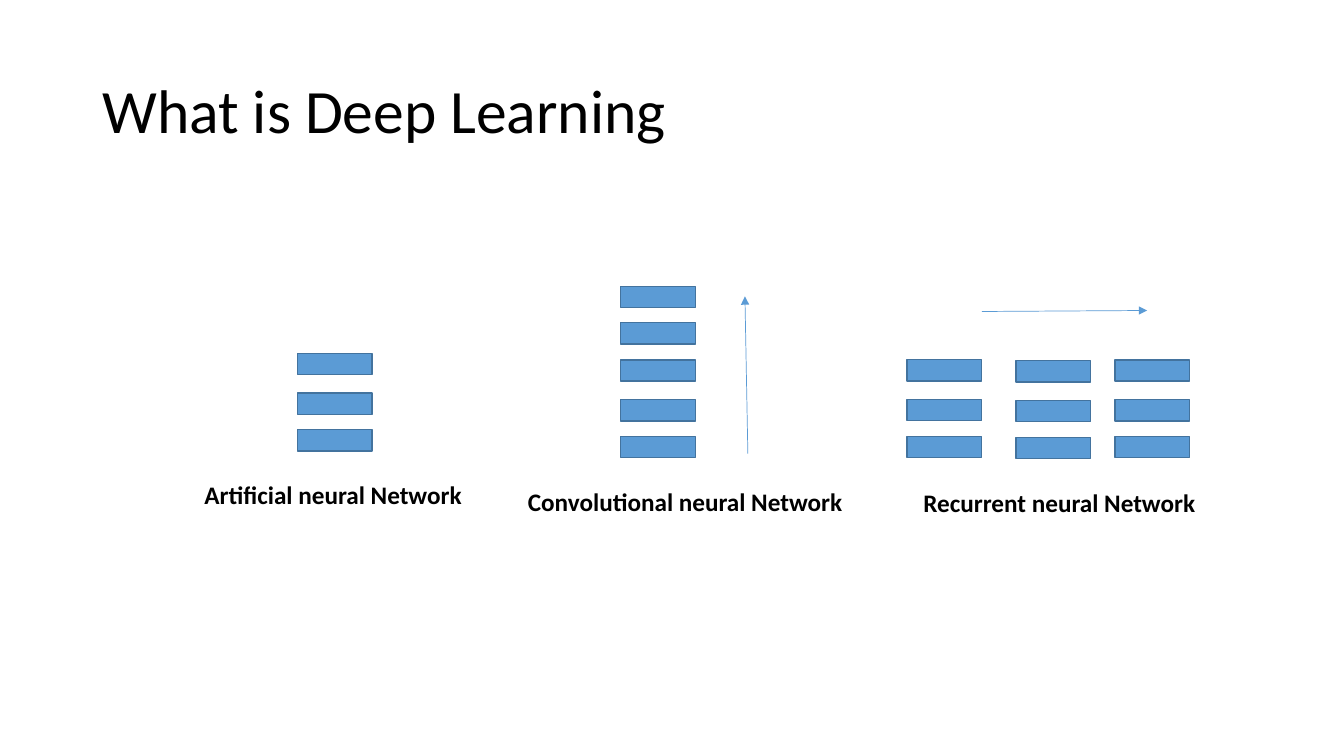
from lxml import etree
from pptx import Presentation
from pptx.dml.color import RGBColor
from pptx.enum.shapes import MSO_CONNECTOR as Connector, MSO_SHAPE as Shape
from pptx.enum.text import MSO_ANCHOR as Anchor, MSO_AUTO_SIZE as AutoSize, PP_ALIGN as Align
from pptx.oxml.ns import qn
from pptx.util import Pt

BLACK = RGBColor(0x00, 0x00, 0x00)
BLUE = RGBColor(0x5B, 0x9B, 0xD5)
DARK_BLUE = RGBColor(0x43, 0x73, 0x9E)
LAYER_WIDTH, LAYER_HEIGHT = 53.3, 15.1
THREE_LAYERS = (0, 28.4, 54.6)
FIVE_LAYERS = (-52.6, -26.6) + THREE_LAYERS


class NetworkSlide:
    """Draws titles, captions, layer stacks and arrows in one style on a slide."""

    def __init__(self, deck, font="Calibri"):
        self.page = deck.slides.add_slide(deck.slide_layouts[5])
        self.font = font

    def fill_text(self, box, text, size, bold=False):
        box.text_frame.text = text
        para = box.text_frame.paragraphs[0]
        para.alignment = Align.LEFT
        for span in para.runs:
            span.font.name = self.font
            span.font.size = Pt(size)
            span.font.bold = bold
            span.font.color.rgb = BLACK
        return para

    def title(self, text, left, top, width, height):
        box = self.page.shapes.title
        box.left, box.top, box.width, box.height = Pt(left), Pt(top), Pt(width), Pt(height)
        self.fill_text(box, text, 44).line_spacing = 0.9
        box.text_frame.vertical_anchor = Anchor.MIDDLE
        box.text_frame.auto_size = AutoSize.NONE

    def caption(self, text, left, top, width):
        box = self.page.shapes.add_textbox(Pt(left), Pt(top), Pt(width), Pt(29))
        self.fill_text(box, text, 18, bold=True)
        box.text_frame.word_wrap = False
        box.text_frame.auto_size = AutoSize.SHAPE_TO_FIT_TEXT

    def stack(self, left, top, offsets):
        for offset in offsets:
            layer = self.page.shapes.add_shape(
                Shape.RECTANGLE, Pt(left), Pt(top + offset), Pt(LAYER_WIDTH), Pt(LAYER_HEIGHT))
            layer.shadow.inherit = False
            layer.fill.solid()
            layer.fill.fore_color.rgb = BLUE
            layer.line.color.rgb = DARK_BLUE
            layer.line.width = Pt(1)

    def arrow(self, start_x, start_y, end_x, end_y):
        arrow = self.page.shapes.add_connector(
            Connector.STRAIGHT, Pt(start_x), Pt(start_y), Pt(end_x), Pt(end_y))
        arrow.line.color.rgb = BLUE
        arrow.line.width = Pt(0.5)
        properties = arrow.element.spPr
        etree.SubElement(properties.find(qn("a:ln")), qn("a:tailEnd"), type="triangle")
        etree.SubElement(properties, qn("a:effectLst"))


def main():
    deck = Presentation()
    deck.slide_width, deck.slide_height = Pt(960), Pt(540)
    slide = NetworkSlide(deck)
    slide.title("What is Deep Learning", 66, 28.75, 828, 104.4)

    slide.stack(212.4, 252.4, THREE_LAYERS)
    slide.caption("Artificial neural Network", 139, 339, 200)

    slide.stack(443.4, 257.1, FIVE_LAYERS)
    slide.caption("Convolutional neural Network", 370, 343.7, 241)
    slide.arrow(534.2, 324, 532.1, 211.7)

    for left, top in ((648, 257), (725.8, 257.7), (796.4, 257.1)):
        slide.stack(left, top, THREE_LAYERS)
    slide.caption("Recurrent neural Network", 652.5, 344.3, 210)
    slide.arrow(701.3, 222.5, 819.4, 221.8)

    deck.save("out.pptx")


if __name__ == "__main__":
    main()
